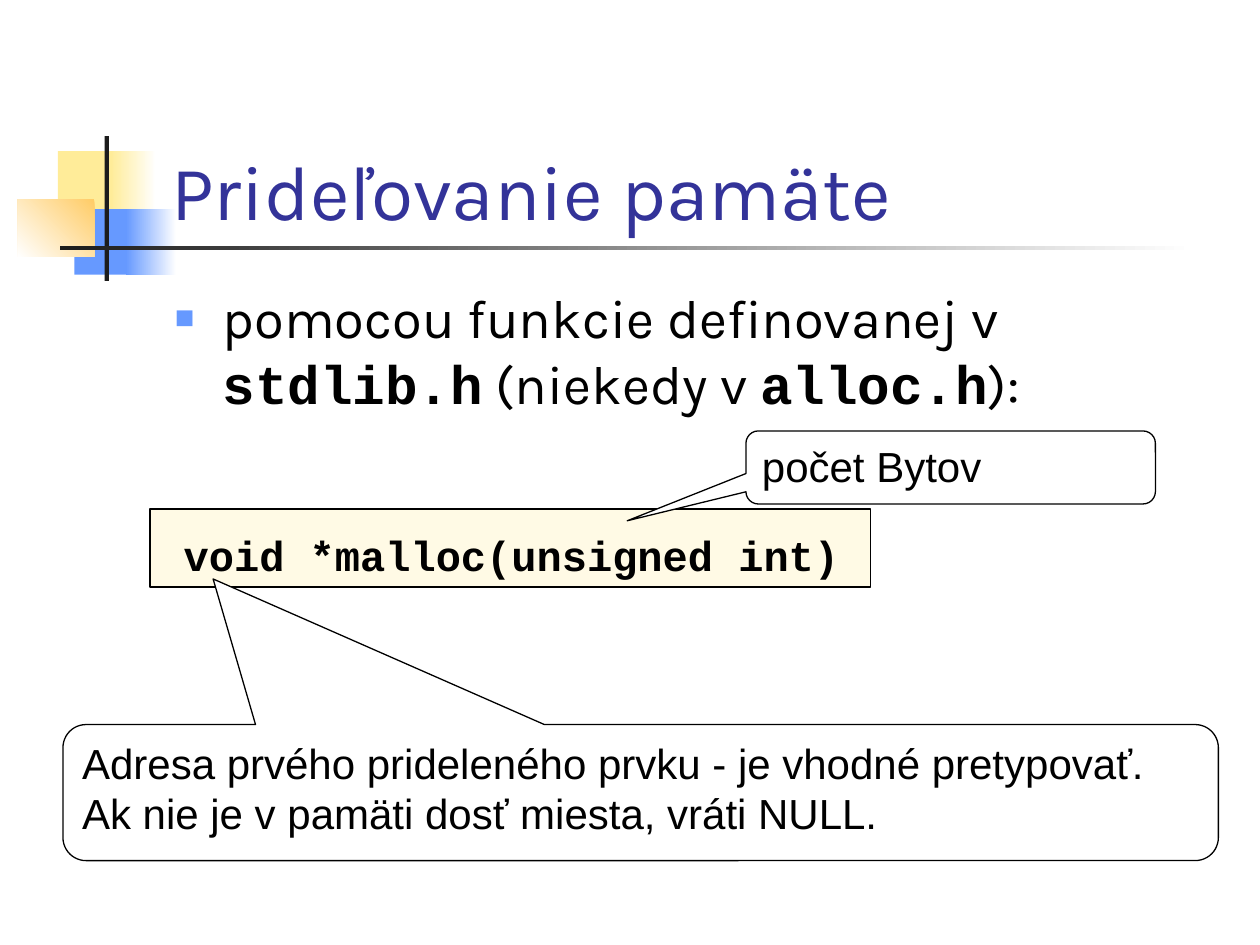
"""Build the slide on memory allocation with malloc."""
from dataclasses import dataclass

from lxml.etree import SubElement as Sub
from pptx import Presentation
from pptx.dml.color import RGBColor as Rgb
from pptx.enum.shapes import MSO_SHAPE as Kind
from pptx.enum.text import MSO_ANCHOR as Anchor, PP_ALIGN as Align
from pptx.oxml.ns import qn
from pptx.util import Inches, Pt


@dataclass(frozen=True)
class Theme:
    white: str = "FFFFFF"
    black: str = "000000"
    ink: str = "1C1C1C"
    navy: str = "333399"
    blue: str = "6699FF"
    lemon: str = "FFEC99"
    amber: str = "FFCC66"
    cream: str = "FFFAE5"
    sans: str = "Karla"
    mono: str = "Courier New"
    plain: str = "Arial"
    head: float = 44
    body: float = 31
    note: float = 24
    gap: float = 7.7
    rule: float = 0.75


@dataclass(frozen=True)
class Area:
    """Hold a place as percent shares of the slide's width and height."""
    left: float
    top: float
    wide: float
    high: float


@dataclass(frozen=True)
class Fade:
    start: str
    end: str
    angle: float = 180


@dataclass(frozen=True)
class Run:
    text: str
    font: str
    size: float
    color: str = "000000"
    bold: bool = False


@dataclass(frozen=True)
class Block:
    area: Area
    fill: str | Fade
    line: bool = False
    runs: tuple[Run, ...] = ()
    kind: Kind = Kind.RECTANGLE
    adjust: tuple[float, ...] = ()


LOOK = Theme()
WIDE, HIGH = Inches(10), Inches(7.5)

DECOR = (
    Block(Area(4.6, 16, 4.8, 6.93), LOOK.lemon),
    Block(Area(8.8, 16, 3.6, 6.93), Fade(LOOK.white, LOOK.lemon)),
    Block(Area(5.9, 22.13, 4.6, 6.93), LOOK.blue),
    Block(Area(10, 22.13, 4, 6.93), Fade(LOOK.white, LOOK.blue)),
    Block(Area(1.4, 21.07, 6.1, 6.13), Fade(LOOK.amber, LOOK.white, 225)),
    Block(Area(8.3, 14.4, 0.35, 15.33), LOOK.ink),
    Block(Area(4.8, 26, 90, 0.45), Fade(LOOK.white, LOOK.ink)),
)
TITLE = (Run("Prideľovanie pamäte", LOOK.sans, LOOK.head, LOOK.navy),)
BODY = (
    Run("pomocou funkcie definovanej v ", LOOK.sans, LOOK.body),
    Run("stdlib.h", LOOK.mono, LOOK.body, bold=True),
    Run(" (niekedy v ", LOOK.sans, LOOK.body),
    Run("alloc.h", LOOK.mono, LOOK.body, bold=True),
    Run("):", LOOK.sans, LOOK.body),
)
CODE = (
    Block(Area(11.9, 53.87, 57.2, 8.27), LOOK.cream, line=True),
    Block(Area(13.6, 55.33, 54.7, 6.67), LOOK.cream,
          runs=(Run("void *malloc(unsigned int)", LOOK.mono, LOOK.note, bold=True),)),
)
NOTES = (
    Block(Area(59.2, 45.6, 32.5, 7.73), LOOK.white, True,
          (Run("počet Bytov", LOOK.plain, LOOK.note),),
          Kind.ROUNDED_RECTANGULAR_CALLOUT, (-0.79, 0.73, 0.17)),
    Block(Area(5, 76.67, 91.7, 14.4), LOOK.white, True,
          (Run("Adresa prvého prideleného prvku - je vhodné pretypovať. "
               "Ak nie je v pamäti dosť miesta, vráti NULL.", LOOK.plain, LOOK.note),),
          Kind.ROUNDED_RECTANGULAR_CALLOUT, (-0.37, -1.57, 0.17)),
)


def place(area: Area) -> tuple[int, int, int, int]:
    """Turn percent shares into slide lengths."""
    return (int(WIDE * area.left / 100), int(HIGH * area.top / 100),
            int(WIDE * area.wide / 100), int(HIGH * area.high / 100))


def write(frame, runs: tuple[Run, ...], anchor: Anchor = Anchor.TOP):
    """Fill a text frame run by run and return its paragraph."""
    frame.word_wrap = True
    frame.vertical_anchor = anchor
    para = frame.paragraphs[0]
    para.alignment = Align.LEFT
    for item in runs:
        run = para.add_run()
        run.text = item.text
        run.font.name = item.font
        run.font.size = Pt(item.size)
        run.font.bold = item.bold
        run.font.color.rgb = Rgb.from_string(item.color)
    return para


def paint(fill, tone: str | Fade) -> None:
    """Apply a solid colour or a two-stop gradient."""
    if isinstance(tone, Fade):
        fill.gradient()
        fill.gradient_angle = tone.angle
        for stop, color in zip(fill.gradient_stops, (tone.start, tone.end)):
            stop.color.rgb = Rgb.from_string(color)
    else:
        fill.solid()
        fill.fore_color.rgb = Rgb.from_string(tone)


def draw(shapes, block: Block) -> None:
    """Draw one block with its fill, outline and text."""
    shape = shapes.add_shape(block.kind, *place(block.area))
    shape.shadow.inherit = False
    for slot, value in enumerate(block.adjust):
        shape.adjustments[slot] = value
    paint(shape.fill, block.fill)
    if block.line:
        shape.line.color.rgb = Rgb.from_string(LOOK.black)
        shape.line.width = Pt(LOOK.rule)
    else:
        shape.line.fill.background()
    if block.runs:
        write(shape.text_frame, block.runs)


def mark(para) -> None:
    """Give a paragraph a small square bullet and a hanging indent."""
    props = para._p.get_or_add_pPr()
    indent = Inches(0.38)
    props.set("marL", str(indent))
    props.set("indent", str(-indent))
    color = Sub(props, qn("a:buClr"))
    Sub(color, qn("a:srgbClr"), val=LOOK.blue)
    Sub(props, qn("a:buSzPct"), val="60000")
    Sub(props, qn("a:buFont"), typeface=LOOK.plain)
    Sub(props, qn("a:buChar"), char="■")


def main() -> None:
    """Build and save the slide."""
    deck = Presentation()
    deck.slide_width, deck.slide_height = WIDE, HIGH
    shapes = deck.slides.add_slide(deck.slide_layouts[6]).shapes
    for block in DECOR:
        draw(shapes, block)
    title = shapes.add_textbox(*place(Area(12.6, 8.93, 85.2, 16.67)))
    write(title.text_frame, TITLE, Anchor.BOTTOM)
    body = shapes.add_textbox(*place(Area(12.9, 29.47, 85, 18.8)))
    para = write(body.text_frame, BODY)
    mark(para)
    para.space_before = Pt(LOOK.gap)
    group = shapes.add_group_shape()
    for block in CODE:
        draw(group.shapes, block)
    for block in NOTES:
        draw(shapes, block)
    deck.save("out.pptx")


if __name__ == "__main__":
    main()
